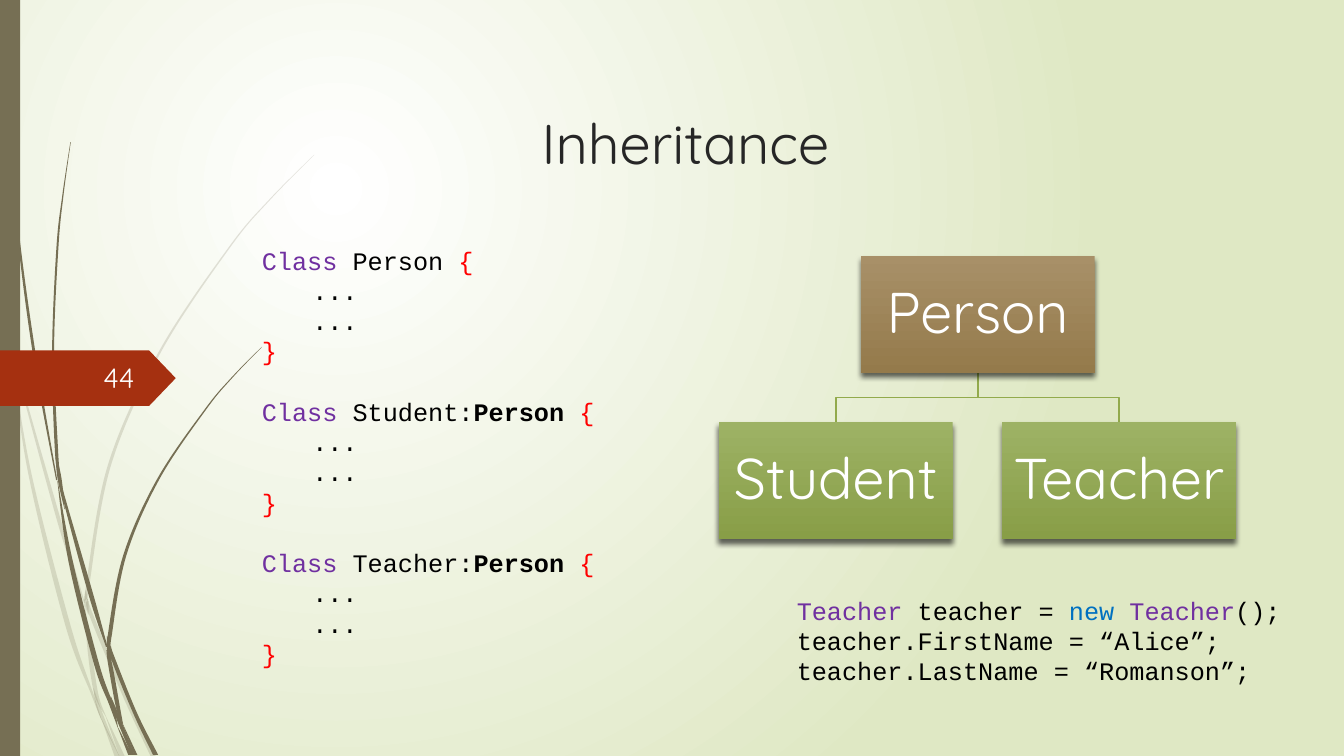
from dataclasses import dataclass

from lxml import etree
from pptx import Presentation
from pptx.dml.color import RGBColor
from pptx.enum.shapes import MSO_SHAPE
from pptx.enum.text import MSO_ANCHOR, PP_ALIGN
from pptx.oxml.ns import qn
from pptx.util import Cm, Pt

RECT, ARROW = MSO_SHAPE.RECTANGLE, MSO_SHAPE.PENTAGON
LEFT, CENTER, RIGHT = PP_ALIGN.LEFT, PP_ALIGN.CENTER, PP_ALIGN.RIGHT
TOP, MIDDLE, BOTTOM = MSO_ANCHOR.TOP, MSO_ANCHOR.MIDDLE, MSO_ANCHOR.BOTTOM


@dataclass(frozen=True)
class Theme:
    body: str = "Quicksand"
    mono: str = "Courier New"
    title_size: float = 40
    node_size: float = 41
    number_size: float = 20
    code_size: float = 18
    background: tuple = ("FFFFFF", "DFE8C4")
    stalk: str = "766F54"
    badge: str = "A53010"
    parent: tuple = ("A89068", "947A4B")
    child: tuple = ("9DB265", "889E47")
    link: str = "92AA4C"
    title: str = "262626"
    light: str = "FFFFFF"
    text: str = "000000"
    keyword: str = "7030A0"
    operator: str = "0070C0"
    brace: str = "FF0000"


T = Theme()


@dataclass(frozen=True)
class Run:
    text: str
    color: str = T.text
    bold: bool = False
    size: float = T.code_size
    font: str = T.mono


@dataclass(frozen=True)
class Line:
    runs: tuple
    indent: float = 0
    gap: float = 0


@dataclass(frozen=True)
class Node:
    name: str
    x: float
    y: float
    colors: tuple


# Each blade of grass lists (x, y, width) along its middle, in cm.
PALE_BLADES = (
    ((0.02, 7.3, 0.03), (0.14, 8.1, 0.05), (0.28, 8.89, 0.01)),
    ((0.36, 8.76, 0.01), (0.43, 9.3, 0.03), (1.52, 13.23, 0.1), (2.13, 15.2, 0.02)),
    ((2.24, 15.14, 0.01), (2.28, 15.45, 0.1), (3.17, 17.6, 0.1), (3.87, 19.08, 0.13)),
    ((2.67, 18.06, 0.01), (3.09, 19.08, 0.13)),
    ((0.28, 8.89, 0.01), (0.75, 11.92, 0.08), (1.71, 15.75, 0.13), (2.33, 17.5, 0.06), (2.56, 18.14, 0.01)),
    ((2.13, 15.21, 0.01), (2.26, 16.4, 0.1), (2.43, 17.5, 0.1), (2.67, 18.06, 0.01)),
    ((7.92, 3.9, 0.01), (6.81, 5.02, 0.03), (5.8, 6.21, 0.04), (4.04, 8.85, 0.06),
     (2.76, 11.72, 0.08), (2.2, 14.83, 0.08), (2.2, 15.1, 0.05)),
    ((2.57, 18.14, 0.01), (2.96, 19.08, 0.13)),
    ((2.16, 14.88, 0.01), (2.18, 15.2, 0.1), (2.23, 15.49, 0.01)),
    ((2.36, 17.35, 0.01), (2.53, 17.96, 0.1), (3.02, 19.08, 0.01)),
)
DARK_BLADES = (
    ((0.09, 0, 0.03), (0.18, 2.78, 0.03), (0.46, 5.91, 0.05), (0.88, 9.02, 0.07), (1.43, 12.1, 0.03)),
    ((1.52, 11.99, 0.01), (1.6, 12.5, 0.06), (2.3, 15.01, 0.12), (2.69, 16.3, 0.04)),
    ((2.79, 16.28, 0.01), (2.84, 16.57, 0.1), (3.4, 17.96, 0.1), (3.92, 19.02, 0.13)),
    ((1.45, 12.12, 0.01), (1.78, 14.14, 0.11), (2.43, 16.72, 0.13), (2.8, 17.75, 0.1), (2.97, 18.33, 0.01)),
    ((1.78, 3.58, 0.01), (1.59, 4.9, 0.03), (1.45, 6.22, 0.05), (1.34, 8.86, 0.05),
     (1.43, 11.43, 0.08), (1.52, 11.99, 0.01)),
    ((3.1, 18.26, 0.01), (3.42, 19.02, 0.08)),
    ((1.4, 11.4, 0.01), (1.5, 12.05, 0.1), (1.63, 12.83, 0.01)),
    ((6.6, 8.74, 0.01), (5.87, 9.49, 0.03), (5.19, 10.3, 0.04), (3.99, 12.07, 0.06),
     (3.14, 14.01, 0.08), (2.76, 16.05, 0.1), (2.78, 16.25, 0.05)),
    ((2.97, 18.33, 0.01), (3.28, 19.02, 0.1)),
    ((2.69, 16.38, 0.01), (2.77, 16.7, 0.1), (2.98, 17.85, 0.1), (3.1, 18.26, 0.01)),
    ((2.7, 16.03, 0.01), (2.75, 16.4, 0.1), (2.81, 16.66, 0.01)),
    ((2.79, 17.55, 0.01), (2.98, 18.1, 0.1), (3.35, 19.02, 0.08)),
)
NODE_W, NODE_H = 5.9, 2.95
PERSON = Node("Person", 21.69, 6.45, T.parent)
CHILDREN = (Node("Student", 18.11, 10.64, T.child), Node("Teacher", 25.25, 10.64, T.child))
LINE_HEIGHT = 21.6


def paint(shape, color: str, alpha: int = 100) -> None:
    shape.shadow.inherit = False
    shape.line.fill.background()
    shape.fill.solid()
    shape.fill.fore_color.rgb = RGBColor.from_string(color)
    if alpha < 100:
        clr = next(shape.element.spPr.iter(qn("a:srgbClr")))
        etree.SubElement(clr, qn("a:alpha")).set("val", str(alpha * 1000))


def paint_gradient(fill, colors: tuple) -> None:
    fill.gradient()
    for stop, color, position in zip(fill.gradient_stops, colors, (0, 1)):
        stop.color.rgb = RGBColor.from_string(color)
        stop.position = position


def paint_background(s) -> None:
    """Radial gradient centred in the upper left quarter."""
    paint_gradient(s.background.fill, T.background)
    lin = next(s.element.iter(qn("a:lin")))
    radial = etree.Element(qn("a:path"), path="circle")
    etree.SubElement(radial, qn("a:fillToRect"), l="50000", t="50000", r="100000", b="100000")
    lin.getparent().replace(lin, radial)


def add_outline(s, points: list, close: bool):
    start, *rest = [(Cm(x), Cm(y)) for x, y in points]
    return s.shapes.build_freeform(*start).add_line_segments(rest, close=close).convert_to_shape()


def bezier(points: list) -> list:
    """Control and end points of a smooth curve that leaves the first point."""
    padded = [points[0], *points, points[-1]]
    curve = []
    for a, b, c, d in zip(padded, padded[1:], padded[2:], padded[3:]):
        curve += [tuple(q + (r - p) / 6 for p, q, r in zip(a, b, c)),
                  tuple(r - (v - q) / 6 for q, r, v in zip(b, c, d)), c]
    return curve


def add_blade(s, blade: tuple, alpha: int) -> None:
    left = [(x - w / 2, y) for x, y, w in blade]
    right = [(x + w / 2, y) for x, y, w in reversed(blade)]
    bridge = [left[-1], right[0], right[0]]
    shape = add_outline(s, [left[0], *bezier(left), *bridge, *bezier(right)], True)
    outline = next(shape.element.iter(qn("a:path")))
    sides = outline.findall(qn("a:lnTo"))
    for trio in zip(sides[::3], sides[1::3], sides[2::3]):
        curve = etree.Element(qn("a:cubicBezTo"))
        trio[0].addprevious(curve)
        for side in trio:
            curve.append(side[0])
            outline.remove(side)
    paint(shape, T.stalk, alpha)


def add_shape(s, kind, x: float, y: float, w: float, h: float):
    return s.shapes.add_shape(kind, Cm(x), Cm(y), Cm(w), Cm(h))


def write(tf, lines: tuple, align=LEFT, anchor=TOP) -> None:
    tf.word_wrap, tf.vertical_anchor = True, anchor
    for i, line in enumerate(lines):
        p = tf.add_paragraph() if i else tf.paragraphs[0]
        p.alignment, p.space_before = align, Pt(line.gap)
        if line.indent:
            p._p.get_or_add_pPr().set("marL", str(Cm(line.indent)))
        for run in line.runs:
            r = p.add_run()
            r.text = run.text
            r.font.name, r.font.size, r.font.bold = run.font, Pt(run.size), run.bold
            r.font.color.rgb = RGBColor.from_string(run.color)


def add_text(s, box: tuple, lines: tuple, align=LEFT, anchor=TOP) -> None:
    write(s.shapes.add_textbox(*map(Cm, box)).text_frame, lines, align, anchor)


def label(text: str, size: float, color: str) -> tuple:
    return (Line((Run(text, color, size=size, font=T.body),)),)


def add_node(s, node: Node) -> None:
    shape = add_shape(s, RECT, node.x, node.y, NODE_W, NODE_H)
    shape.line.fill.background()
    paint_gradient(shape.fill, node.colors)
    shape.fill.gradient_angle = 270
    shape.shadow.inherit = False
    shadow = etree.SubElement(shape.element.spPr.find(qn("a:effectLst")), qn("a:outerShdw"),
                              blurRad=str(Pt(4)), dist=str(Pt(3)), dir="5400000", rotWithShape="0")
    black = etree.SubElement(shadow, qn("a:srgbClr"), val="000000")
    etree.SubElement(black, qn("a:alpha"), val="60000")
    tf = shape.text_frame
    tf.margin_left = tf.margin_right = tf.margin_top = tf.margin_bottom = Cm(0.08)
    write(tf, label(node.name, T.node_size, T.light), CENTER, MIDDLE)
    tf.paragraphs[0].line_spacing = 0.9


def add_link(s, parent: Node, child: Node) -> None:
    x1, x2 = parent.x + NODE_W / 2, child.x + NODE_W / 2
    y1, y2 = parent.y + NODE_H, child.y
    mid = (y1 + y2) / 2
    link = add_outline(s, [(x1, y1), (x1, mid), (x2, mid), (x2, y2)], False)
    link.shadow.inherit = False
    link.fill.background()
    link.line.color.rgb = RGBColor.from_string(T.link)
    link.line.width = Pt(1.25)


def class_code(*heading: Run, gap: float = LINE_HEIGHT) -> tuple:
    dots = Line((Run("..."),), indent=1.27)
    first = Line((Run("Class ", T.keyword), *heading, Run("{", T.brace)), gap=gap)
    return first, dots, dots, Line((Run("}", T.brace),))


def main() -> None:
    prs = Presentation()
    prs.slide_width, prs.slide_height = Cm(33.87), Cm(19.05)
    s = prs.slides.add_slide(prs.slide_layouts[6])
    paint_background(s)
    for blades, alpha in ((PALE_BLADES, 20), (DARK_BLADES, 100)):
        for blade in blades:
            add_blade(s, blade, alpha)
    paint(add_shape(s, RECT, 0, 0, 0.51, 19.05), T.stalk)
    badge = add_shape(s, ARROW, 0, 8.83, 4.43, 1.4)
    badge.adjustments[0] = 0.48
    paint(badge, T.badge)
    add_text(s, (1.48, 9, 2.16, 1.02), label("44", T.number_size, T.light), RIGHT, MIDDLE)
    for child in reversed(CHILDREN):
        add_link(s, PERSON, child)
    for node in (PERSON, *CHILDREN):
        add_node(s, node)
    code = class_code(Run("Person "), gap=0)
    for child in CHILDREN:
        code += class_code(Run(f"{child.name}:"), Run("Person ", bold=True))
    add_text(s, (6.35, 6.05, 10.26, 11.02), code)
    add_text(s, (4.89, 1, 24.77, 3.56), label("Inheritance", T.title_size, T.title), CENTER, BOTTOM)
    add_text(s, (19.83, 14.87, 12.7, 3.35), (
        Line((Run("Teacher ", T.keyword), Run("teacher = "), Run("new ", T.operator),
              Run("Teacher", T.keyword), Run("();"))),
        Line((Run("teacher.FirstName = “Alice”;"),)),
        Line((Run("teacher.LastName = “Romanson”;"),))))
    prs.save("out.pptx")


if __name__ == "__main__":
    main()
